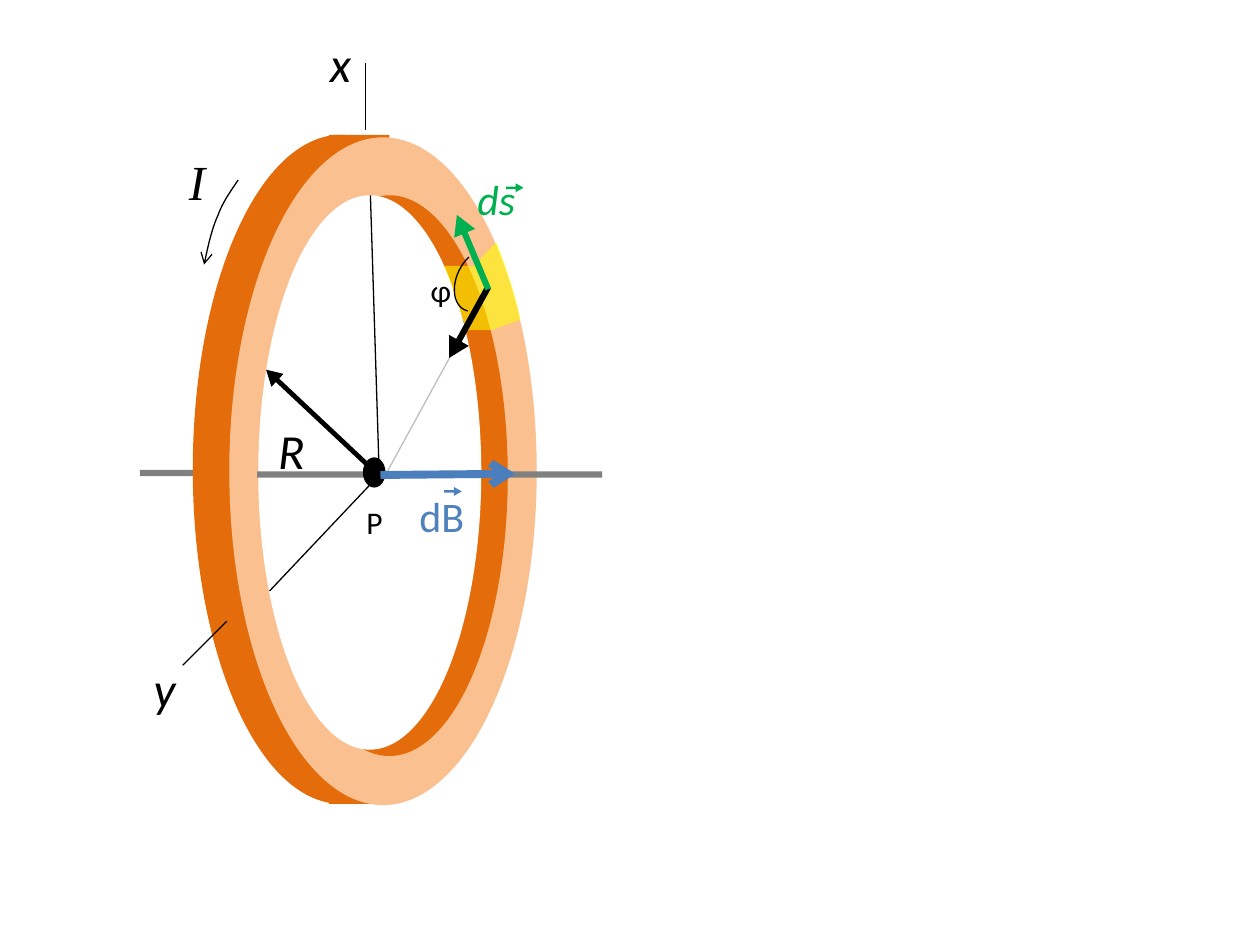
import pptx
import pptx.util
import pptx.dml.color
import pptx.enum.shapes
import pptx.enum.text
import pptx.oxml.ns
import pptx.oxml.xmlchemy

RGB = pptx.dml.color.RGBColor
BLACK = RGB(0x00, 0x00, 0x00)
WHITE = RGB(0xFF, 0xFF, 0xFF)
GREY = RGB(0x80, 0x80, 0x80)
PALE = RGB(0xBF, 0xBF, 0xBF)
RUST = RGB(0xE4, 0x6C, 0x0A)
PEACH = RGB(0xFA, 0xC0, 0x90)
YELLOW = RGB(0xFF, 0xFF, 0x00)
GREEN = RGB(0x00, 0xB0, 0x50)
BLUE = RGB(0x4F, 0x81, 0xBD)
STEEL = RGB(0x4B, 0x7E, 0xBC)
KIND = pptx.enum.shapes.MSO_SHAPE
make = pptx.oxml.xmlchemy.OxmlElement

deck = pptx.Presentation()
deck.slide_width = pptx.util.Inches(10)
deck.slide_height = pptx.util.Inches(7.5)
slide = deck.slides.add_slide(deck.slide_layouts[6])
shapes = slide.shapes
unit = deck.slide_width // 1000


def form(kind, box, tint, turn=0):
    shape = shapes.add_shape(kind, *[n * unit for n in box])
    shape.shadow.inherit = False
    shape.fill.solid()
    shape.fill.fore_color.rgb = tint
    shape.line.fill.background()
    shape.rotation = turn
    if kind == KIND.DOWN_ARROW:
        shape.adjustments[0] = 0.27
        shape.adjustments[1] = 0.88
    return shape


def bend(a, b, c, d, steps=12):
    points = []
    for i in range(1, steps + 1):
        t = i / steps
        u = 1 - t
        points.append(tuple(
            u**3 * p + 3 * u * u * t * q + 3 * u * t * t * r + t**3 * s
            for p, q, r, s in zip(a, b, c, d)))
    return points


for kind, box, tint in [
    (KIND.RECTANGLE, (111, 373, 76, 5), GREY),
    (KIND.OVAL, (153, 107, 235, 531), RUST),
    (KIND.RECTANGLE, (261, 107, 48, 531), RUST),
    (KIND.OVAL, (182, 109, 244, 530), PEACH),
    (KIND.OVAL, (215, 155, 188, 445), RUST),
    (KIND.OVAL, (205, 155, 177, 440), WHITE),
    (KIND.RECTANGLE, (204, 374, 274, 5), GREY),
]:
    form(kind, box, tint)

form(KIND.DOWN_ARROW, (249, 274, 14, 123), BLACK, 133.2)
form(KIND.OVAL, (288, 363, 18, 24), BLACK)

for ends, tint, width in [
    ((383, 236, 307, 375), PALE, 0.75),
    ((301, 377, 294, 155), BLACK, 0.75),
    ((301, 377, 214, 469), BLACK, 0.75),
    ((290, 103, 290, 50), BLACK, 0.75),
    ((180, 493, 145, 528), BLACK, 0.75),
    ((302, 377, 409, 376), STEEL, 4.5),
]:
    wire = shapes.add_connector(
        pptx.enum.shapes.MSO_CONNECTOR.STRAIGHT, *[n * unit for n in ends])
    wire.line.color.rgb = tint
    wire.line.width = pptx.util.Pt(width)
    wire._element.spPr.append(make("a:effectLst"))
axis = wire

wedge = (
    [(352, 211), (376, 211), (394, 192)]
    + bend((394, 192), (402, 213), (409, 233), (413, 254))
    + [(390, 262), (370, 262)]
    + bend((370, 262), (365, 245), (360, 228), (352, 211)))
sweep = (
    [(189, 143)]
    + bend((189, 143), (183, 152), (177, 160), (173, 171))
    + bend((173, 171), (168, 182), (165, 196), (162, 210)))
drawn = []
for points, close in [(wedge, True), (sweep, False)]:
    points = [(x * unit, y * unit) for x, y in points]
    pen = shapes.build_freeform(*points[0])
    pen.add_line_segments(points[1:], close=close)
    drawn.append(pen.convert_to_shape())
patch, flow = drawn

patch.shadow.inherit = False
patch.fill.solid()
patch.fill.fore_color.rgb = YELLOW
patch.line.fill.background()
alpha = make("a:alpha")
alpha.set("val", "57000")
patch._element.spPr.find(pptx.oxml.ns.qn("a:solidFill"))[0].append(alpha)

form(KIND.DOWN_ARROW, (363, 224, 18, 64), BLACK, 28.8)
arc = form(KIND.ARC, (354, 205, 52, 35), BLACK, 295.7)
arc.adjustments[0] = 104.55
arc.adjustments[1] = 186.86

for curve in (flow, arc):
    curve.shadow.inherit = False
    curve.fill.background()
    curve.line.color.rgb = BLACK
    curve.line.width = pptx.util.Pt(0.75)

for shape in (flow, axis):
    tail = make("a:tailEnd")
    tail.set("type", "arrow")
    shape.line._get_or_add_ln().append(tail)

labels = {}
for word, box, size, tint, font, slant in [
    ("R", (211, 329, 42, 57), 28, BLACK, "Calibri", True),
    ("x", (252, 22, 37, 57), 28, BLACK, "Calibri", True),
    ("y", (112, 518, 38, 57), 28, BLACK, "Calibri", True),
    ("I", (140, 115, 33, 57), 28, BLACK, "Times New Roman", True),
    ("ds", (369, 133, 51, 50), 24, GREEN, "Calibri", True),
    ("P", (281, 394, 33, 40), 18, BLACK, "Calibri", False),
    ("dB", (323, 384, 56, 50), 24, BLUE, "Calibri", False),
    ("φ", (332, 210, 33, 40), 18, BLACK, "Calibri", False),
]:
    label = shapes.add_textbox(*[n * unit for n in box])
    label.text_frame.word_wrap = False
    label.text_frame.auto_size = pptx.enum.text.MSO_AUTO_SIZE.SHAPE_TO_FIT_TEXT
    run = label.text_frame.paragraphs[0].add_run()
    run.text = word
    run.font.name = font
    run.font.size = pptx.util.Pt(size)
    run.font.italic = slant
    run.font.color.rgb = tint
    labels[word] = label

for word, box, tint in [
    ("ds", (405, 142, 7, 14), GREEN),
    ("dB", (356, 383, 7, 14), BLUE),
]:
    mark = form(KIND.DOWN_ARROW, box, tint, 270)
    shapes.add_group_shape([labels[word], mark])

form(KIND.DOWN_ARROW, (366, 168, 18, 64), GREEN, 157.2)

deck.save("out.pptx")
